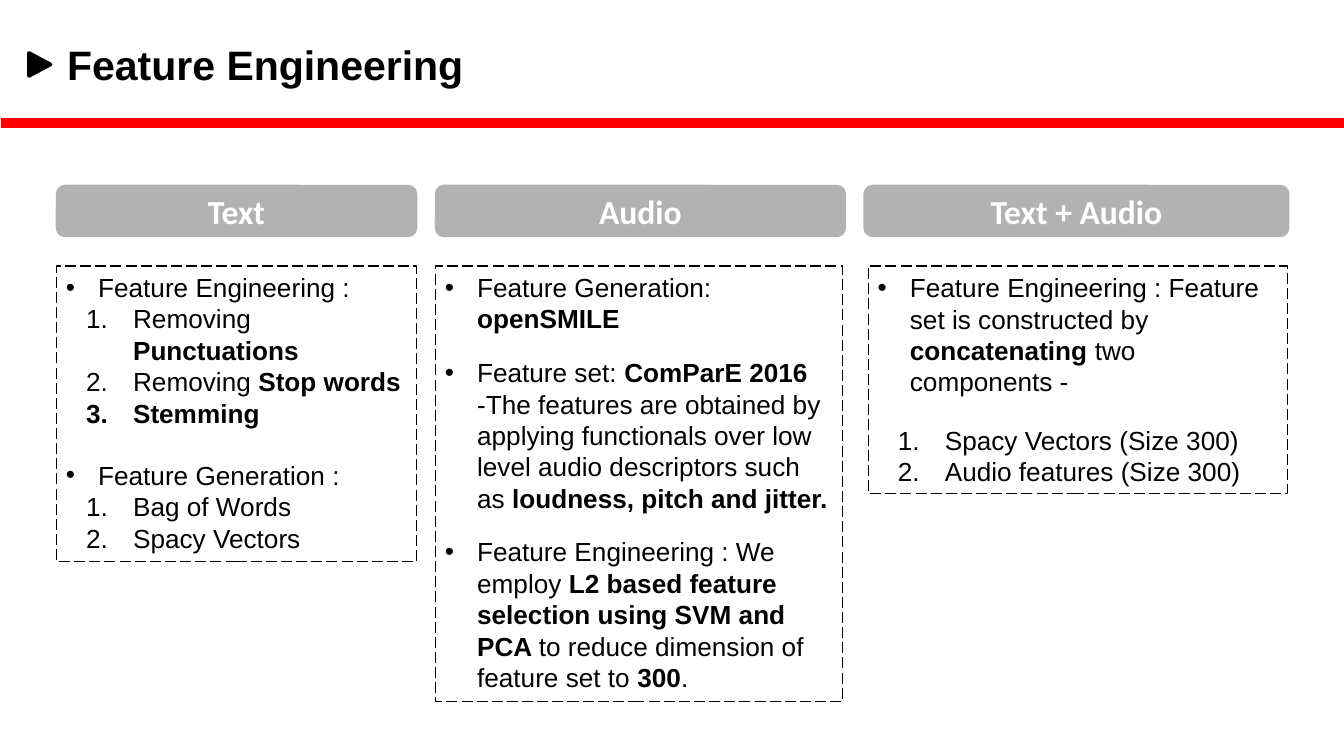
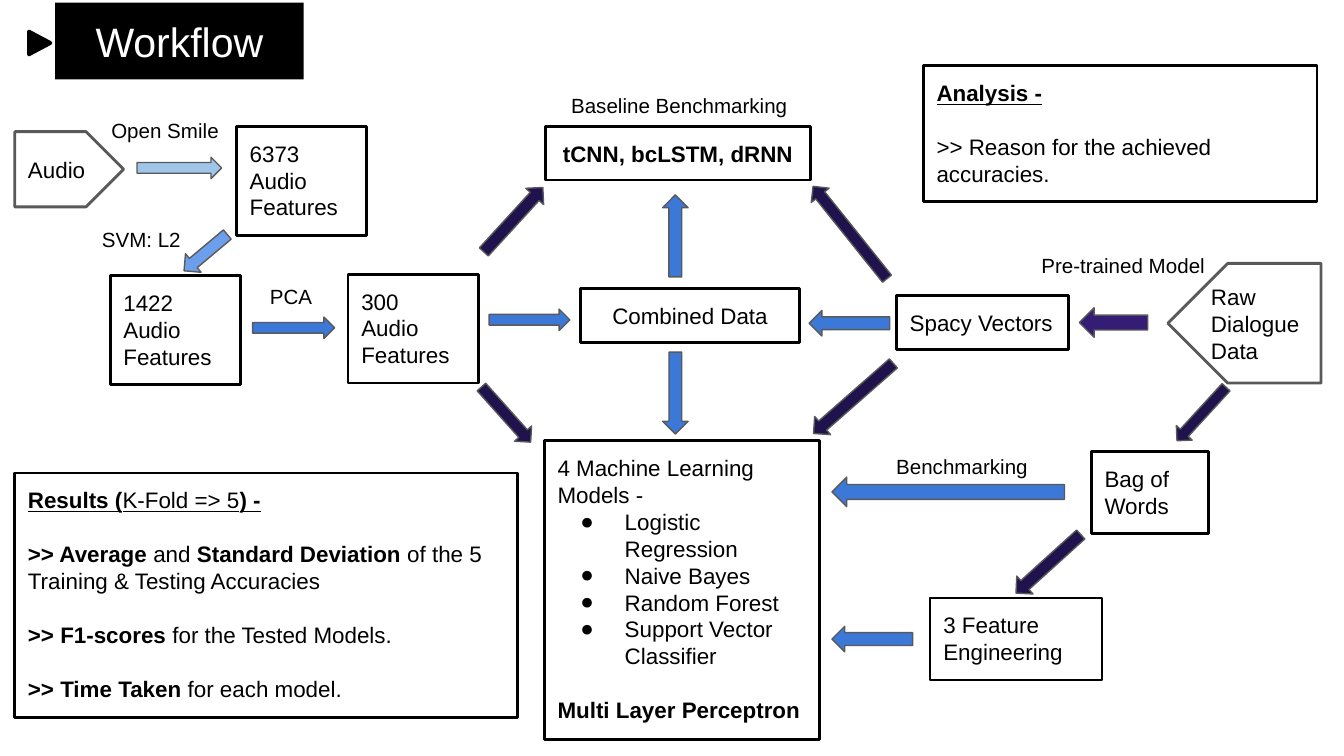
from lxml import etree
from pptx import Presentation
from pptx.dml.color import RGBColor
from pptx.enum.dml import MSO_LINE
from pptx.enum.shapes import MSO_SHAPE
from pptx.enum.text import MSO_ANCHOR, MSO_AUTO_SIZE, PP_ALIGN
from pptx.oxml.ns import qn
from pptx.util import Inches, Pt

RECTANGLE, ROUNDED = MSO_SHAPE.RECTANGLE, MSO_SHAPE.ROUNDED_RECTANGLE
PENTAGON, TRIANGLE = MSO_SHAPE.PENTAGON, MSO_SHAPE.ISOSCELES_TRIANGLE
RIGHT_ARROW, UP_ARROW = MSO_SHAPE.RIGHT_ARROW, MSO_SHAPE.UP_ARROW
LEFT, CENTER = PP_ALIGN.LEFT, PP_ALIGN.CENTER
TOP, MIDDLE = MSO_ANCHOR.TOP, MSO_ANCHOR.MIDDLE

BLACK = RGBColor(0x00, 0x00, 0x00)
WHITE = RGBColor(0xFF, 0xFF, 0xFF)
RED = RGBColor(0xFF, 0x00, 0x00)
HEADER_GREY = RGBColor(0xB2, 0xB2, 0xB2)
OUTLINE_GREY = RGBColor(0x59, 0x59, 0x59)
PALE_BLUE = RGBColor(0x9F, 0xC5, 0xE8)
SOFT_BLUE = RGBColor(0x6D, 0x9E, 0xEB)
BLUE = RGBColor(0x3C, 0x78, 0xD8)
PURPLE = RGBColor(0x35, 0x1C, 0x75)
NAVY = RGBColor(0x20, 0x12, 0x4D)

# List marker: left margin and hanging indent in inches
INDENTS = {"•": (0.24, -0.24), "1.": (0.5, -0.35), "●": (0.5, -0.33)}


def add_box(page, kind, place, fill=None, line=None, width=0.75, rotation=0):
    """Draw a preset shape; place is left, top, width, height in inches."""
    box = page.shapes.add_shape(kind, *map(Inches, place))
    box.shadow.inherit = False
    box.rotation = rotation
    if fill is None:
        box.fill.background()
    else:
        box.fill.solid()
        box.fill.fore_color.rgb = fill
    if line is None:
        box.line.fill.background()
    else:
        box.line.color.rgb = line
        box.line.width = Pt(width)
    return box


def write(box, items, size=12, color=BLACK, font="Arial", align=LEFT,
          anchor=TOP, inset=(0.1, 0.1)):
    """Write (marker, text, space before) items; ** switches bold on and off."""
    frame = box.text_frame
    frame.word_wrap = True
    frame.auto_size = MSO_AUTO_SIZE.NONE
    frame.vertical_anchor = anchor
    frame.margin_left = frame.margin_right = Inches(inset[0])
    frame.margin_top = frame.margin_bottom = Inches(inset[1])
    for index, (marker, text, gap) in enumerate(items):
        para = frame.add_paragraph() if index else frame.paragraphs[0]
        para.alignment = align
        para.space_before = Pt(gap)
        if marker in INDENTS:
            margin, hanging = INDENTS[marker]
            properties = para._p.get_or_add_pPr()
            properties.set("marL", str(Inches(margin)))
            properties.set("indent", str(Inches(hanging)))
            bullet_color = etree.SubElement(properties, qn("a:buClr"))
            etree.SubElement(bullet_color, qn("a:srgbClr"), val=str(BLACK))
            etree.SubElement(properties, qn("a:buFont"), typeface="Arial")
            if marker == "1.":
                etree.SubElement(properties, qn("a:buAutoNum"), type="arabicPeriod")
            else:
                etree.SubElement(properties, qn("a:buChar"), char=marker)
        para.font.size = Pt(size)
        para.font.name = font
        para.font.color.rgb = color
        if marker == "underline":
            para.font.underline = True
        for part, words in enumerate(text.split("**")):
            for row, line in enumerate(words.split("\n")):
                if row:
                    para.add_line_break()
                if line:
                    span = para.add_run()
                    span.text = line
                    span.font.bold = part % 2 == 1


deck = Presentation()
deck.slide_width = Inches(10)
deck.slide_height = Inches(10 * 9 / 16)
title_only = deck.slide_layouts[5]

# Titles with their triangle marker
pages = []
for text, place, color, align, marker_top in [
    ("**Feature Engineering**", (0.4, 0.19, 8.76, 0.57), BLACK, LEFT, 0.4),
    ("Workflow", (0.41, 0.02, 1.85, 0.57), WHITE, CENTER, 0.24),
]:
    page = deck.slides.add_slide(title_only)
    title = page.shapes.title
    title.left, title.top, title.width, title.height = map(Inches, place)
    write(title, [("", text, 0)], 22, color, align=align)
    add_box(page, TRIANGLE, (0.21, marker_top, 0.17, 0.16), BLACK, BLACK, 2, 90)
    pages.append(page)
features, workflow = pages
workflow.shapes.title.fill.solid()
workflow.shapes.title.fill.fore_color.rgb = BLACK

# Feature engineering: red rule and three columns
add_box(features, RECTANGLE, (0.01, 0.88, 10, 0.07), RED, RED)
columns = [
    ("Text", (0.42, 2.68), (0.42, 2.68), 2.2, [
        ("•", "Feature Engineering :", 0),
        ("1.", "Removing **Punctuations**", 0),
        ("1.", "Removing **Stop words**", 0),
        ("1.", "**Stemming**", 0),
        ("•", "Feature Generation :", 16.5),
        ("1.", "Bag of Words", 0),
        ("1.", "Spacy Vectors", 0),
    ]),
    ("Audio", (3.24, 3.05), (3.24, 3.03), 3.24, [
        ("•", "Feature Generation: **openSMILE**", 0),
        ("•", "Feature set: **ComParE 2016 **-The features are obtained by "
              "applying functionals over low level audio descriptors such as "
              "**loudness, pitch and jitter.**", 12),
        ("•", "Feature Engineering : We employ **L2 based feature selection "
              "using SVM and PCA **to reduce dimension of feature set to "
              "**300**.", 12),
    ]),
    ("Text + Audio", (6.43, 3.16), (6.46, 3.12), 1.69, [
        ("•", "Feature Engineering : Feature set is constructed by "
              "**concatenating **two components -", 0),
        ("1.", "Spacy Vectors (Size 300)", 14.5),
        ("1.", "Audio features (Size 300)", 0),
    ]),
]
for heading, (head_left, head_width), (left, width), height, items in columns:
    header = add_box(features, ROUNDED, (head_left, 1.38, head_width, 0.38),
                     HEADER_GREY, HEADER_GREY)
    write(header, [("", f"**{heading}**", 0)], 18, WHITE, "Calibri", CENTER,
          MIDDLE, (0.07, 0.04))
    panel = add_box(features, RECTANGLE, (left, 1.98, width, height), line=BLACK)
    panel.line.dash_style = MSO_LINE.LONG_DASH
    write(panel, items, 14, inset=(0.07, 0.04))

# Workflow: inputs
for text, place, flipped in [
    ("Raw Dialogue Data", (8.69, 1.96, 1.14, 0.89), True),
    ("Audio", (0.11, 0.98, 0.81, 0.56), False),
]:
    source = add_box(workflow, PENTAGON, place, WHITE, OUTLINE_GREY, 1.5)
    if flipped:
        source._element.spPr.find(qn("a:xfrm")).set("flipH", "1")
    write(source, [("", text, 0)], anchor=MIDDLE)

# Workflow: steps
for text, place, align in [
    ("6373 Audio Features", (1.76, 0.94, 0.97, 0.81), LEFT),
    ("1422 Audio Features", (0.82, 2.05, 0.97, 0.81), LEFT),
    ("300 \nAudio Features", (2.59, 2.04, 0.97, 0.81), LEFT),
    ("**tCNN, bcLSTM, dRNN**", (4.06, 0.94, 1.97, 0.4), CENTER),
    ("Combined Data", (4.32, 2.15, 1.63, 0.4), CENTER),
    ("Spacy Vectors", (6.67, 2.2, 1.28, 0.4), LEFT),
    ("Bag of Words", (8.12, 3.36, 0.87, 0.61), LEFT),
    ("3 Feature Engineering", (6.92, 4.45, 1.28, 0.61), LEFT),
]:
    step = add_box(workflow, RECTANGLE, place, line=BLACK, width=1.5)
    write(step, [("", text, 0)], align=align)

# Workflow: models, analysis and results
for place, fill, items in [
    ((4.05, 3.28, 2.05, 2.22), None, [
        ("", "4 Machine Learning Models -", 0),
        ("●", "Logistic Regression", 0),
        ("●", "Naive Bayes", 0),
        ("●", "Random Forest", 0),
        ("●", "Support Vector Classifier", 0),
        ("", "**Multi Layer Perceptron**", 14.4),
    ]),
    ((6.87, 0.49, 2.93, 1.01), WHITE, [
        ("underline", "**Analysis -**", 0),
        ("", ">> Reason for the achieved accuracies.", 14.4),
    ]),
    ((0.11, 3.52, 3.74, 1.82), None, [
        ("underline", "**Results (**K-Fold => 5**) -**", 0),
        ("", "**>> Average **and **Standard Deviation **of the 5 "
             "Training & Testing Accuracies", 14.4),
        ("", "**>> F1-scores **for the Tested Models.", 14.4),
        ("", "**>> Time Taken **for each model.", 14.4),
    ]),
]:
    write(add_box(workflow, RECTANGLE, place, fill, BLACK, 1.5), items)

# Workflow: block arrows
for kind, place, rotation, color in [
    (RIGHT_ARROW, (1.02, 1.17, 0.63, 0.16), 0, PALE_BLUE),
    (RIGHT_ARROW, (1.32, 1.79, 0.42, 0.18), 140, SOFT_BLUE),
    (RIGHT_ARROW, (1.88, 2.36, 0.61, 0.16), 0, BLUE),
    (RIGHT_ARROW, (3.64, 2.3, 0.6, 0.16), 0, BLUE),
    (RIGHT_ARROW, (4.72, 1.66, 0.61, 0.19), 270, BLUE),
    (RIGHT_ARROW, (4.72, 2.83, 0.61, 0.19), 90, BLUE),
    (RIGHT_ARROW, (6.02, 2.31, 0.6, 0.19), 180, BLUE),
    (RIGHT_ARROW, (6.19, 3.55, 1.73, 0.22), 180, BLUE),
    (RIGHT_ARROW, (6.19, 4.66, 0.6, 0.19), 180, BLUE),
    (RIGHT_ARROW, (8.03, 2.29, 0.51, 0.22), 180, PURPLE),
    (UP_ARROW, (3.73, 1.31, 0.18, 0.65), 42.5, NAVY),
    (UP_ARROW, (3.68, 2.81, 0.17, 0.55), 138.2, NAVY),
    (UP_ARROW, (6.24, 1.29, 0.17, 0.88), 321.3, NAVY),
    (UP_ARROW, (6.26, 2.57, 0.18, 0.79), 228.7, NAVY),
    (UP_ARROW, (8.86, 2.81, 0.16, 0.54), 222.5, NAVY),
    (UP_ARROW, (7.71, 3.87, 0.18, 0.65), 227.8, NAVY),
]:
    add_box(workflow, kind, place, color, OUTLINE_GREY, rotation=rotation)

# Workflow: arrow labels
for text, left, top, width, align in [
    ("Open Smile", 0.73, 0.78, 1.14, LEFT),
    ("SVM: L2", 0.66, 1.59, 0.87, LEFT),
    ("PCA", 1.91, 2.01, 0.61, LEFT),
    ("Baseline Benchmarking", 3.92, 0.59, 2.27, CENTER),
    ("Pre-trained Model", 7.65, 1.78, 1.53, LEFT),
    ("Benchmarking", 6.57, 3.28, 1.53, LEFT),
]:
    label = workflow.shapes.add_textbox(*map(Inches, (left, top, width, 0.39)))
    write(label, [("", text, 0)], 11, align=align)

deck.save("out.pptx")
